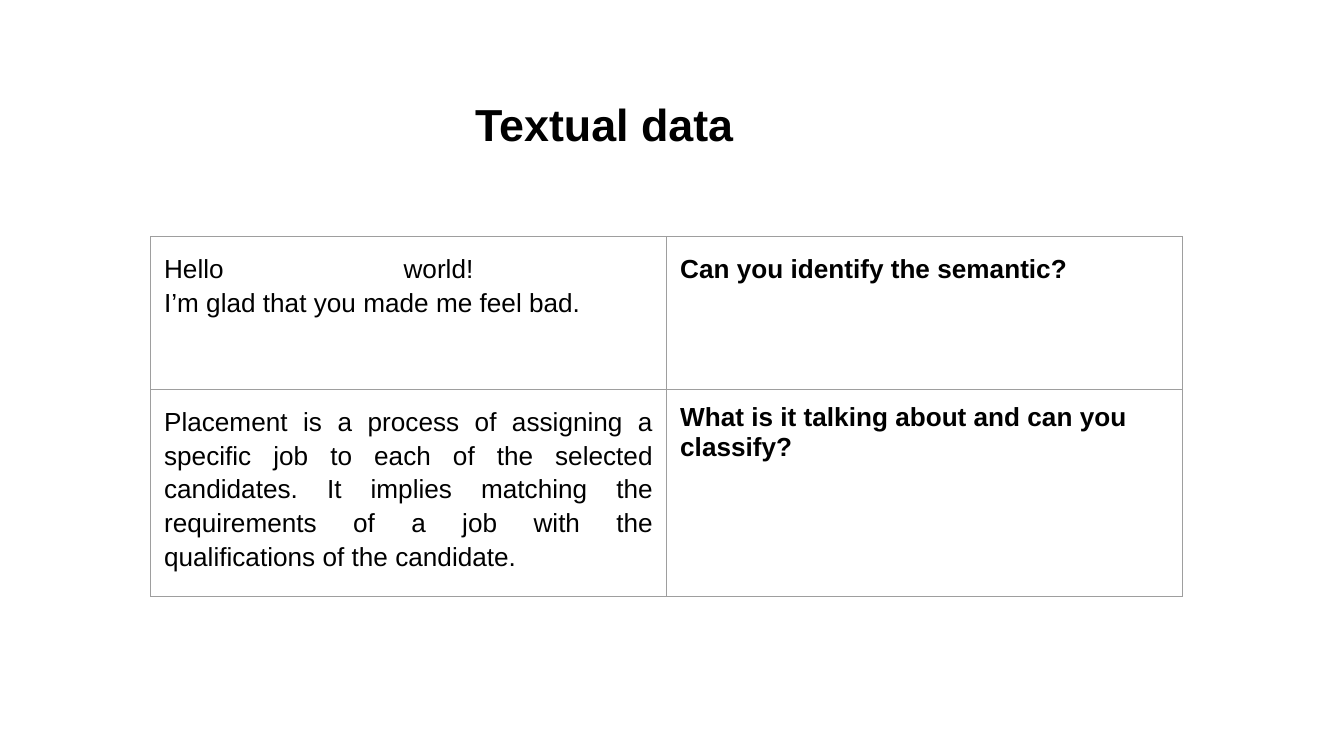
from lxml.etree import SubElement
from pptx import Presentation
from pptx.dml.color import RGBColor
from pptx.enum.text import MSO_ANCHOR, PP_ALIGN as Align
from pptx.oxml.ns import qn
from pptx.util import Pt

BLACK = RGBColor(0x00, 0x00, 0x00)
WHITE = RGBColor(0xFF, 0xFF, 0xFF)
BORDER_GREY = RGBColor(0x9E, 0x9E, 0x9E)
FONT = "Arial"
INSET = Pt(7.2)
COLUMN_WIDTH = 276.5
ROW_HEIGHTS = (82, 94.3)

# Each cell: text, bold, alignment, line spacing
ROWS = (
    (
        ("Hello world! \vI’m glad that you made me feel bad. ", False, Align.JUSTIFY, 1.15),
        ("Can you identify the semantic?", True, Align.JUSTIFY, 1.15),
    ),
    (
        ("Placement is a process of assigning a specific job to each of the "
         "selected candidates. It implies matching the requirements of a job "
         "with the qualifications of the candidate.", False, Align.JUSTIFY, 1.15),
        ("What is it talking about and can you classify?", True, Align.LEFT, 1.0),
    ),
)


def write_text(text_frame, text, size, bold, alignment, line_spacing=1.0):
    text_frame.text = text
    text_frame.word_wrap = True
    paragraph = text_frame.paragraphs[0]
    paragraph.alignment = alignment
    paragraph.line_spacing = line_spacing
    for run in paragraph.runs:
        run.font.name = FONT
        run.font.size = Pt(size)
        run.font.bold = bold
        run.font.color.rgb = BLACK


def set_insets(holder):
    """Give a text frame or a table cell the same margin on every side."""
    holder.margin_left = holder.margin_right = INSET
    holder.margin_top = holder.margin_bottom = INSET


def add_title(slide, text):
    text_frame = slide.shapes.add_textbox(Pt(211.7), Pt(44.6), Pt(224), Pt(62.6)).text_frame
    set_insets(text_frame)
    text_frame.vertical_anchor = MSO_ANCHOR.TOP
    write_text(text_frame, text, 24, True, Align.CENTER)


def add_borders(cell):
    properties = cell._tc.get_or_add_tcPr()
    for position, side in enumerate(("a:lnL", "a:lnR", "a:lnT", "a:lnB")):
        line = SubElement(properties, qn(side), w=str(Pt(0.75)))
        fill = SubElement(line, qn("a:solidFill"))
        SubElement(fill, qn("a:srgbClr"), val=str(BORDER_GREY))
        properties.insert(position, line)


def add_question_table(slide):
    table = slide.shapes.add_table(
        len(ROWS), len(ROWS[0]), Pt(80.7), Pt(126.8),
        Pt(COLUMN_WIDTH * len(ROWS[0])), Pt(sum(ROW_HEIGHTS)),
    ).table
    table.first_row = False
    table.horz_banding = False
    for column in table.columns:
        column.width = Pt(COLUMN_WIDTH)
    for row, height, contents in zip(table.rows, ROW_HEIGHTS, ROWS):
        row.height = Pt(height)
        for cell, (text, bold, alignment, line_spacing) in zip(row.cells, contents):
            set_insets(cell)
            cell.vertical_anchor = MSO_ANCHOR.TOP
            cell.fill.solid()
            cell.fill.fore_color.rgb = WHITE
            add_borders(cell)
            write_text(cell.text_frame, text, 14, bold, alignment, line_spacing)


def main():
    presentation = Presentation()
    presentation.slide_width = Pt(720)
    presentation.slide_height = Pt(405)
    slide = presentation.slides.add_slide(presentation.slide_layouts[6])
    add_title(slide, "Textual data")
    add_question_table(slide)
    presentation.save("out.pptx")


if __name__ == "__main__":
    main()
